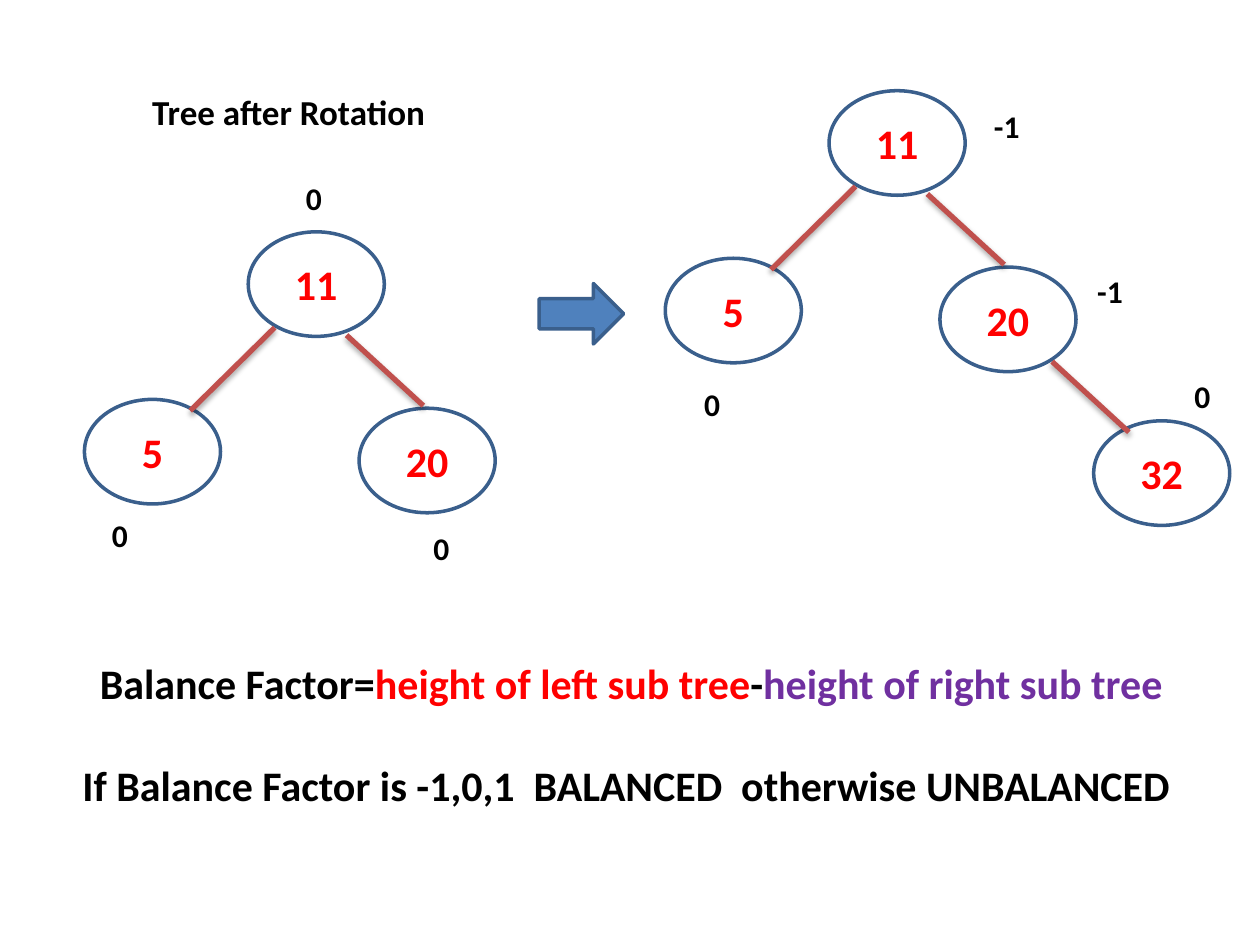
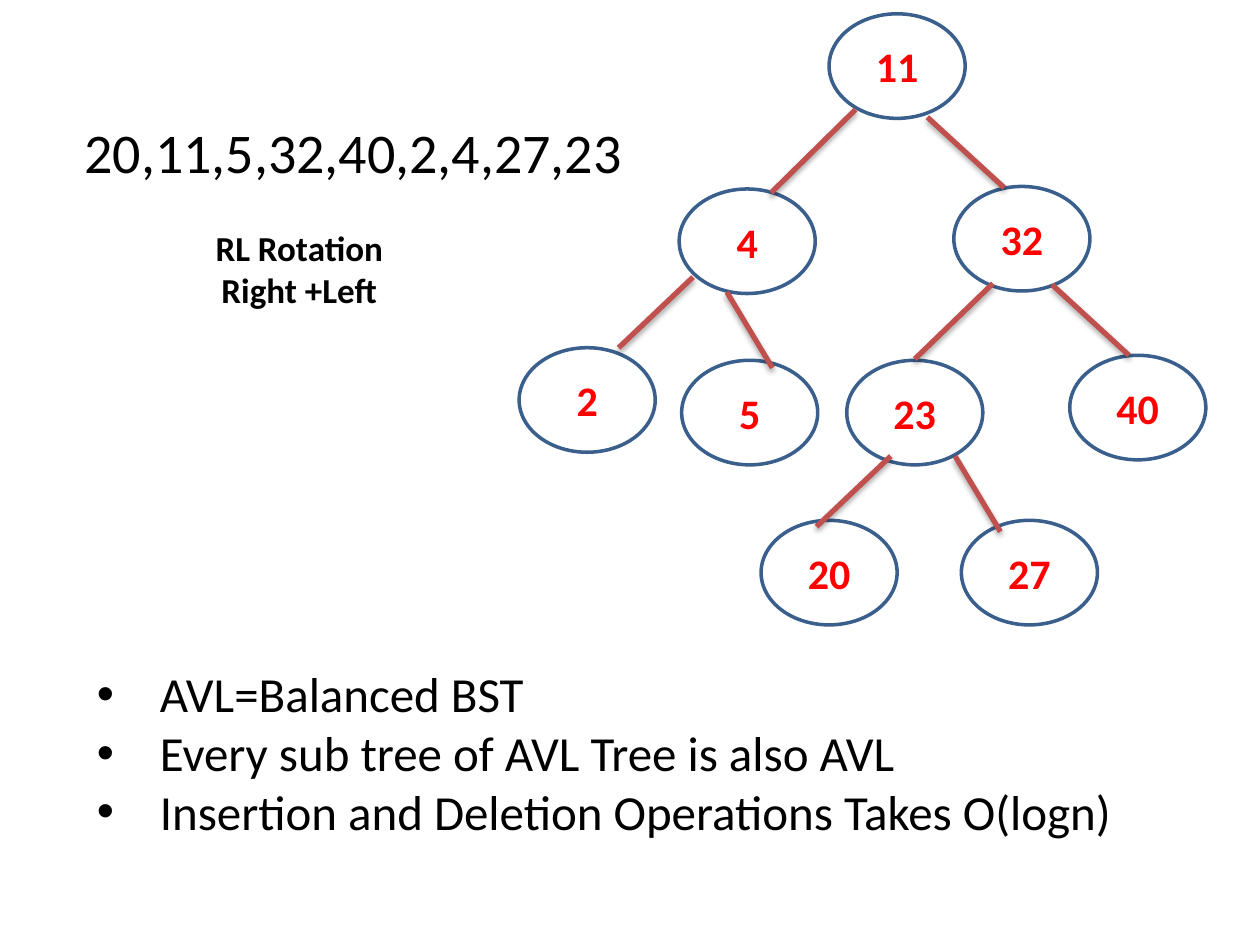
from dataclasses import dataclass

from lxml.etree import SubElement as Sub
from pptx import Presentation
from pptx.dml.color import RGBColor
from pptx.enum.shapes import MSO_CONNECTOR as Link, MSO_SHAPE as Kind
from pptx.enum.text import MSO_ANCHOR as Anchor, MSO_AUTO_SIZE as Fit, PP_ALIGN as Align
from pptx.oxml.ns import qn
from pptx.shapes.autoshape import Shape
from pptx.slide import Slide
from pptx.text.text import TextFrame
from pptx.util import Inches, Pt

FONT = "Calibri"
BLACK, RED, PURPLE = "000000", "FF0000", "7030A0"
BLUE, NAVY, RUST = "4F81BD", "3A5F8C", "C0504D"
NODE_W, NODE_H = 1.08, 0.83


@dataclass
class Node:
    text: str
    x: float
    y: float


@dataclass
class Edge:
    x: float
    y: float
    dx: float
    dy: float


@dataclass
class Mark:
    text: str
    x: float
    y: float


@dataclass
class Box:
    x: float
    y: float
    w: float
    h: float


LEFT, RIGHT = (-0.67, 0.66), (0.61, 0.56)
SLANT, STEEP = (-0.59, 0.56), (0.36, 0.6)
ROOT_EDGES = [Edge(0.21, 0.76, *LEFT), Edge(0.78, 0.82, *RIGHT)]
TRIO = [Node("11", 0, 0), Node("5", -1.3, 1.33), Node("20", 0.88, 1.4)]


def ink(code: str) -> RGBColor:
    return RGBColor.from_string(code)


def style(frame: TextFrame, size: int, bold: bool = True,
          align: Align = Align.CENTER, code: str = BLACK) -> None:
    for para in frame.paragraphs:
        para.alignment = align
        for run in para.runs:
            run.font.name = FONT
            run.font.size = Pt(size)
            run.font.bold = bold
            run.font.color.rgb = ink(code)


def add_text(slide: Slide, box: Box, text: str, size: int,
             bold: bool = True, align: Align = Align.CENTER) -> TextFrame:
    shape = slide.shapes.add_textbox(
        Inches(box.x), Inches(box.y), Inches(box.w), Inches(box.h))
    frame = shape.text_frame
    frame.word_wrap = True
    frame.auto_size = Fit.SHAPE_TO_FIT_TEXT
    frame.text = text
    style(frame, size, bold, align)
    return frame


def add_title(slide: Slide, box: Box, text: str, size: int, bold: bool) -> None:
    title = slide.shapes.title
    title.left, title.top = Inches(box.x), Inches(box.y)
    title.width, title.height = Inches(box.w), Inches(box.h)
    frame = title.text_frame
    frame.auto_size = Fit.NONE
    frame.vertical_anchor = Anchor.TOP
    frame.text = text
    style(frame, size, bold)


def add_form(slide: Slide, kind: Kind, box: Box) -> Shape:
    shape = slide.shapes.add_shape(
        kind, Inches(box.x), Inches(box.y), Inches(box.w), Inches(box.h))
    shape.shadow.inherit = False
    shape.line.color.rgb = ink(NAVY)
    shape.line.width = Pt(2)
    return shape


def add_node(slide: Slide, node: Node, x: float, y: float) -> None:
    shape = add_form(slide, Kind.OVAL, Box(x + node.x, y + node.y, NODE_W, NODE_H))
    shape.fill.background()
    frame = shape.text_frame
    frame.vertical_anchor = Anchor.MIDDLE
    frame.text = node.text
    style(frame, 24, code=RED)


def add_edge(slide: Slide, edge: Edge, x: float, y: float) -> None:
    x, y = x + edge.x, y + edge.y
    line = slide.shapes.add_connector(
        Link.STRAIGHT, Inches(x), Inches(y), Inches(x + edge.dx), Inches(y + edge.dy))
    line.line.color.rgb = ink(RUST)
    line.line.width = Pt(3)
    effect = Sub(line._element.spPr, qn("a:effectLst"))
    shade = Sub(effect, qn("a:outerShdw"), blurRad="40000", dist="23000",
                dir="5400000", rotWithShape="0")
    tone = Sub(shade, qn("a:srgbClr"), val=BLACK)
    Sub(tone, qn("a:alpha"), val="35000")


def add_tree(slide: Slide, x: float, y: float,
             nodes: list[Node], edges: list[Edge]) -> None:
    for node in nodes:
        add_node(slide, node, x, y)
    for edge in ROOT_EDGES + edges:
        add_edge(slide, edge, x, y)


def add_marks(slide: Slide, marks: list[Mark]) -> None:
    for mark in marks:
        add_text(slide, Box(mark.x, mark.y, 0.42, 0.4), mark.text, 18,
                 align=Align.LEFT)


def add_dots(frame: TextFrame) -> None:
    for para in frame.paragraphs:
        props = para._p.get_or_add_pPr()
        props.set("marL", str(Inches(0.5)))
        props.set("indent", str(Inches(-0.5)))
        Sub(props, qn("a:buFont"), typeface="Arial")
        Sub(props, qn("a:buChar"), char="•")


def draw_balance(slide: Slide) -> None:
    add_title(slide, Box(0.33, 0.67, 3.92, 0.44), "Tree after Rotation", 20, True)
    add_tree(slide, 1.97, 1.84, TRIO, [])
    add_tree(slide, 6.58, 0.72, TRIO + [Node("32", 2.1, 2.62)],
             [Edge(1.77, 2.15, *RIGHT)])
    add_marks(slide, [
        Mark("0", 2.33, 1.37), Mark("0", 0.79, 4.05), Mark("0", 3.34, 4.15),
        Mark("0", 5.49, 3.01), Mark("-1", 7.79, 0.8), Mark("-1", 8.61, 2.11),
        Mark("0", 9.38, 2.94),
    ])
    arrow = add_form(slide, Kind.RIGHT_ARROW, Box(4.28, 2.25, 0.67, 0.48))
    arrow.fill.solid()
    arrow.fill.fore_color.rgb = ink(BLUE)

    parts = [("Balance Factor=", BLACK), ("height of left sub tree", RED),
             ("-", BLACK), ("height of right sub tree", PURPLE)]
    rule = "If Balance Factor is -1,0,1  BALANCED  otherwise UNBALANCED "
    frame = add_text(slide, Box(0.26, 5.17, 9.5, 1.31), "\n" + rule, 24)
    first, last = frame.paragraphs
    for text, _ in parts:
        first.add_run().text = text
    style(frame, 24)
    for run, (_, code) in zip(first.runs, parts):
        run.font.color.rgb = ink(code)
    last.space_before = Pt(29.3)


def draw_avl(slide: Slide) -> None:
    add_title(slide, Box(0.04, 0.88, 5.53, 0.64), "20,11,5,32,40,2,4,27,23", 32, False)
    add_text(slide, Box(0.75, 1.75, 3.25, 0.77), "RL Rotation\nRight +Left", 20)
    nodes = [
        Node("11", 0, 0), Node("4", -1.19, 1.39), Node("32", 0.99, 1.37),
        Node("2", -2.46, 2.65), Node("5", -1.17, 2.75), Node("23", 0.14, 2.75),
        Node("40", 1.91, 2.71), Node("20", -0.54, 4.02), Node("27", 1.05, 4.02),
    ]
    edges = [
        Edge(-1.08, 2.09, *SLANT), Edge(-0.81, 2.21, *STEEP),
        Edge(1.3, 2.14, -0.62, 0.6), Edge(1.77, 2.15, *RIGHT),
        Edge(0.49, 3.51, *SLANT), Edge(1, 3.51, *STEEP),
    ]
    add_tree(slide, 6.58, 0.11, nodes, edges)
    facts = ["AVL=Balanced BST", "Every sub tree of AVL Tree is also AVL",
             "Insertion and Deletion Operations Takes O(logn)"]
    add_dots(add_text(slide, Box(0.67, 5.22, 8.66, 1.51), "\n".join(facts), 28,
                      False, Align.LEFT))


def main() -> None:
    deck = Presentation()
    deck.slide_width, deck.slide_height = Inches(10), Inches(7.5)
    for draw in (draw_balance, draw_avl):
        draw(deck.slides.add_slide(deck.slide_layouts[5]))
    deck.save("out.pptx")


main()
